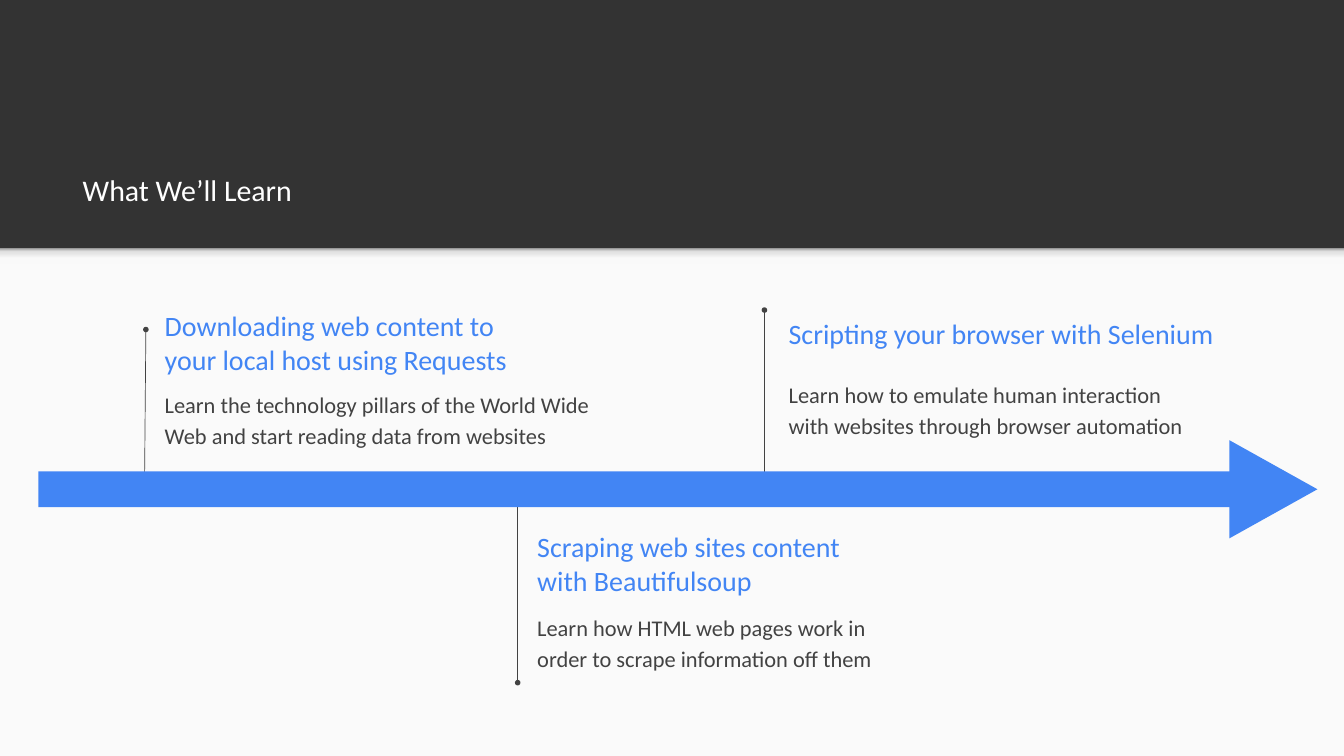
from copy import deepcopy
from dataclasses import dataclass

from lxml.etree import SubElement
from pptx import Presentation
from pptx.dml.color import RGBColor
from pptx.enum.shapes import MSO_CONNECTOR as CONNECTOR, MSO_SHAPE as SHAPE
from pptx.enum.text import MSO_ANCHOR as ANCHOR
from pptx.oxml.ns import qn
from pptx.util import Inches, Pt


@dataclass(frozen=True)
class Theme:
    font: str = "Calibri"
    dark: str = "333333"
    paper: str = "FAFAFA"
    accent: str = "4285F4"
    ink: str = "424242"
    white: str = "FFFFFF"
    shade: tuple = ((0, "F9F9F9"), (0.36, "F9F9F9"), (0.8, "DEDEDE"), (1, "999999"))
    title_size: int = 32
    heading_size: int = 30
    body_size: int = 24
    stem_width: float = 0.75


THEME = Theme()
SLIDE_W, SLIDE_H = 19.99, 11.24
HEADER_H = 3.69
MILESTONES = [
    ("Downloading web content to your local host using Requests",
     (2.25, 4.45, 5.58, 1.27),
     "Learn the technology pillars of the World Wide Web and start reading data from websites",
     (2.25, 5.55, 7.03, 1.27),
     (2.15, 7.16, 2.17, 4.9)),
    ("Scraping web sites content with Beautifulsoup",
     (7.79, 7.95, 5.26, 0.86),
     "Learn how HTML web pages work in order to scrape information off them",
     (7.79, 8.87, 5.58, 1.27),
     (7.7, 7.21, 7.7, 10.15)),
    ("Scripting your browser with Selenium",
     (11.53, 4.53, 6.94, 0.86),
     "Learn how to emulate human interaction with websites through browser automation",
     (11.53, 5.41, 6.54, 1.27),
     (11.37, 7.14, 11.37, 4.61)),
]


def rgb(color):
    return RGBColor.from_string(color)


def add_block(shapes, kind, box, color):
    sp = shapes.add_shape(kind, *map(Inches, box))
    sp.shadow.inherit = False
    sp.fill.solid()
    sp.fill.fore_color.rgb = rgb(color)
    sp.line.fill.background()
    return sp


def add_text(slide, text, box, size, color, anchor, spacing=None):
    sp = slide.shapes.add_textbox(*map(Inches, box))
    tf = sp.text_frame
    tf.word_wrap = True
    tf.vertical_anchor = anchor
    tf.margin_left = tf.margin_right = Inches(0.2)
    tf.margin_top = tf.margin_bottom = Inches(0.2)
    tf.text = text
    p = tf.paragraphs[0]
    if spacing:
        p.line_spacing = spacing
    font = p.runs[0].font
    font.name = THEME.font
    font.size = Pt(size)
    font.color.rgb = rgb(color)


def add_stem(slide, ends):
    line = slide.shapes.add_connector(CONNECTOR.STRAIGHT, *map(Inches, ends))
    line.line.color.rgb = rgb(THEME.ink)
    line.line.width = Pt(THEME.stem_width)
    spPr = line._element.spPr
    SubElement(spPr.find(qn("a:ln")), qn("a:tailEnd"), type="oval")
    SubElement(spPr, qn("a:effectLst"))


def add_header_shade(slide):
    sp = add_block(slide.shapes, SHAPE.RECTANGLE, (0, HEADER_H, SLIDE_W, 0.24), THEME.paper)
    fill = sp.fill
    fill.gradient()
    fill.gradient_angle = 90
    stop_list = sp._element.spPr.find(qn("a:gradFill")).find(qn("a:gsLst"))
    while len(stop_list) < len(THEME.shade):
        stop_list.append(deepcopy(stop_list[0]))
    for stop, (position, color) in zip(fill.gradient_stops, THEME.shade):
        stop.position = position
        stop.color.rgb = rgb(color)


def add_background(slide):
    fill = slide.background.fill
    fill.solid()
    fill.fore_color.rgb = rgb(THEME.dark)
    add_block(slide.shapes, SHAPE.RECTANGLE,
              (0, HEADER_H, SLIDE_W, SLIDE_H - HEADER_H), THEME.paper)
    add_header_shade(slide)


def add_milestone(slide, heading, heading_box, body, body_box, stem):
    add_stem(slide, stem)
    add_text(slide, heading, heading_box, THEME.heading_size, THEME.accent, ANCHOR.MIDDLE)
    add_text(slide, body, body_box, THEME.body_size, THEME.ink, ANCHOR.TOP, 1.15)


def add_timeline(slide):
    group = slide.shapes.add_group_shape()
    head = add_block(group.shapes, SHAPE.ISOSCELES_TRIANGLE,
                     (18.21, 6.62, 1.46, 1.31), THEME.accent)
    head.rotation = 90
    add_block(group.shapes, SHAPE.RECTANGLE, (0.57, 7.01, 17.96, 0.53), THEME.accent)


def main():
    prs = Presentation()
    prs.slide_width, prs.slide_height = Inches(SLIDE_W), Inches(SLIDE_H)
    slide = prs.slides.add_slide(prs.slide_layouts[6])
    add_background(slide)
    add_text(slide, "What We’ll Learn", (1.03, 1.61, 17.98, 1.68),
             THEME.title_size, THEME.white, ANCHOR.BOTTOM)
    for milestone in MILESTONES:
        add_milestone(slide, *milestone)
    add_timeline(slide)
    prs.save("out.pptx")


if __name__ == "__main__":
    main()
